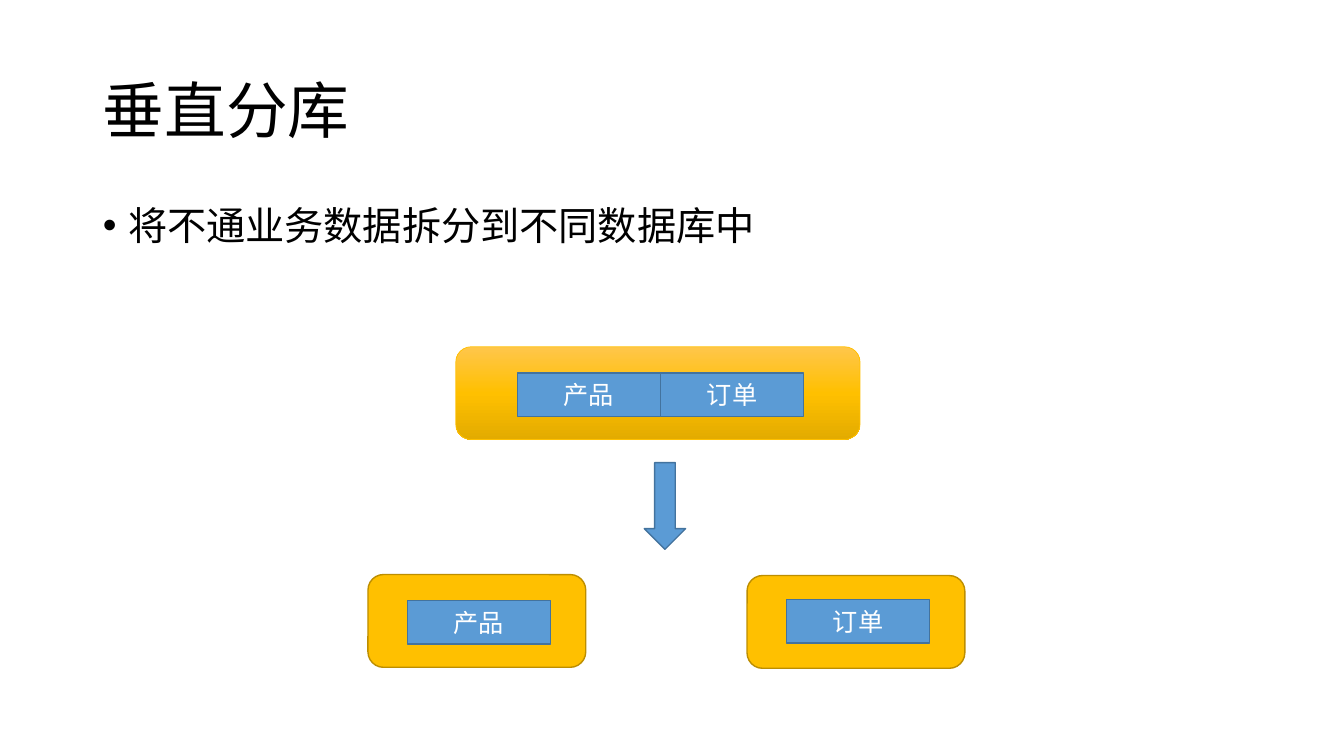
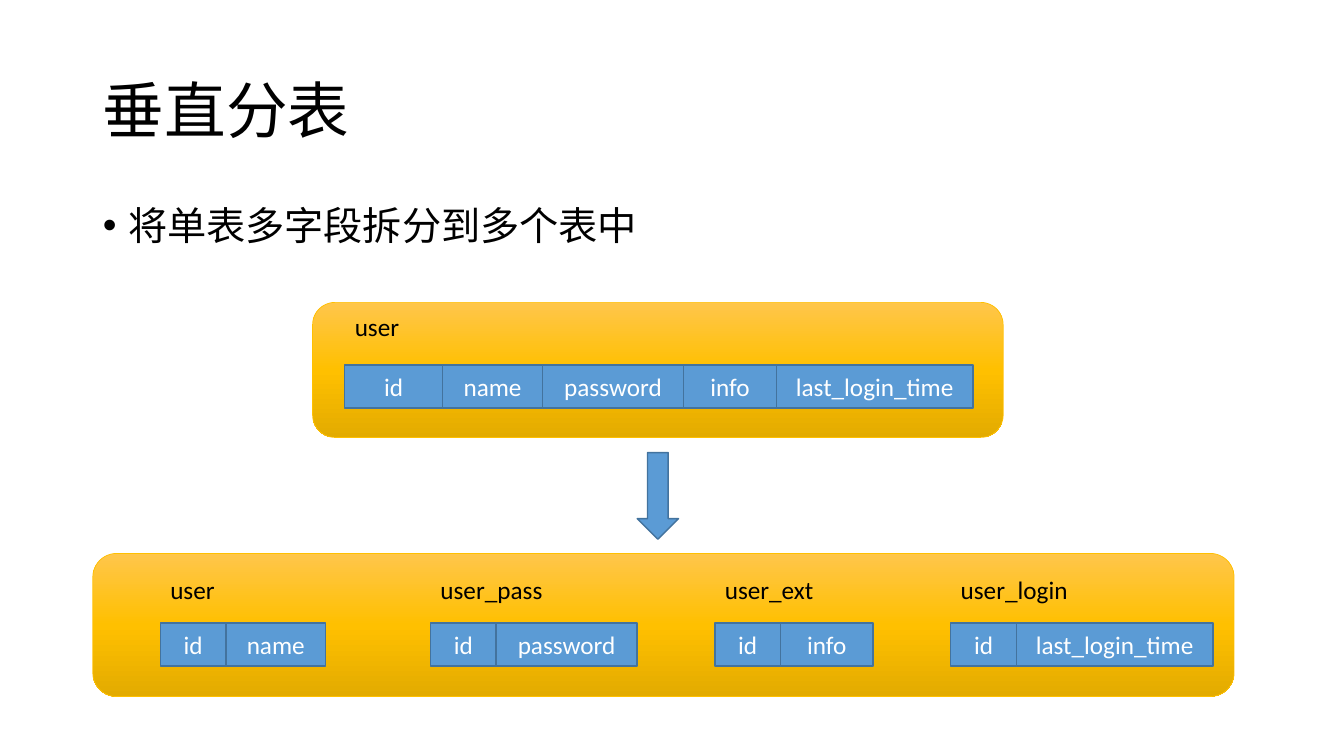
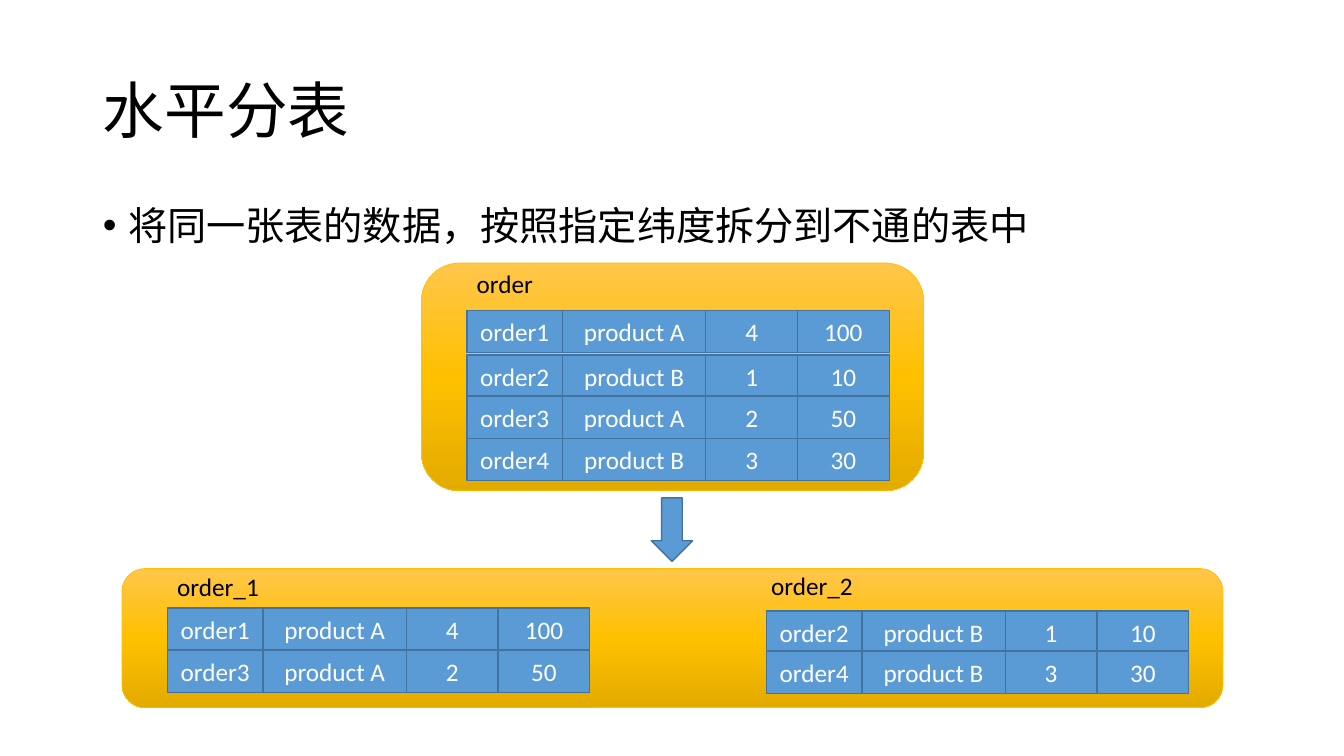
from copy import deepcopy

from pptx import Presentation
from pptx.dml.color import RGBColor
from pptx.enum.shapes import MSO_SHAPE
from pptx.enum.text import MSO_ANCHOR, MSO_AUTO_SIZE, PP_ALIGN
from pptx.oxml.ns import qn
from pptx.util import Inches, Pt

RECT = MSO_SHAPE.RECTANGLE
ROUND = MSO_SHAPE.ROUNDED_RECTANGLE
ARROW = MSO_SHAPE.DOWN_ARROW
TOP, MIDDLE = MSO_ANCHOR.TOP, MSO_ANCHOR.MIDDLE
LEFT, CENTER = PP_ALIGN.LEFT, PP_ALIGN.CENTER
FIXED, GROW = MSO_AUTO_SIZE.NONE, MSO_AUTO_SIZE.SHAPE_TO_FIT_TEXT

BLACK = RGBColor(0x00, 0x00, 0x00)
WHITE = RGBColor(0xFF, 0xFF, 0xFF)
BLUE = RGBColor(0x5B, 0x9B, 0xD5)
NAVY = RGBColor(0x43, 0x73, 0x9E)
GOLD = RGBColor(0xFF, 0xC0, 0x00)
LIGHT = RGBColor(0xFF, 0xC6, 0x4B)
DEEP = RGBColor(0xE3, 0xAB, 0x00)
BROWN = RGBColor(0xBD, 0x8E, 0x00)
FONT = "Calibri"


class Deck:
    """Holds the shared style and the slide being drawn."""

    def __init__(self):
        self.prs = Presentation()
        self.prs.slide_width = Inches(13.33)
        self.prs.slide_height = Inches(7.5)
        self.slide = None

    def start(self, title, point, height=0.87):
        """Add a slide with a title and one bullet point."""
        self.slide = self.prs.slides.add_slide(self.prs.slide_layouts[1])
        head, body = self.slide.placeholders
        self.place(head, (0.92, 0.4, 11.5, 1.45), title, 44, MIDDLE)
        para = self.place(body, (0.92, 2, 11.21, height), point, 28, TOP)
        para.space_before = Pt(10)
        props = para._p.get_or_add_pPr()
        props.set("marL", str(Inches(0.25)))
        props.set("indent", str(Inches(-0.25)))

    def place(self, holder, box, text, size, anchor):
        holder.left, holder.top, holder.width, holder.height = map(Inches, box)
        frame = holder.text_frame
        frame.auto_size = FIXED
        frame.vertical_anchor = anchor
        para = self.add_text(frame, text, size, BLACK, LEFT)
        para.line_spacing = 0.9
        return para

    def add_text(self, frame, text, size, color, align):
        para = frame.paragraphs[0]
        para.alignment = align
        run = para.add_run()
        run.text = text
        run.font.name = FONT
        run.font.size = Pt(size)
        run.font.color.rgb = color
        return para

    def shape(self, kind, box, fill=BLUE, line=NAVY, weight=1):
        item = self.slide.shapes.add_shape(kind, *map(Inches, box))
        item.shadow.inherit = False
        item.fill.solid()
        item.fill.fore_color.rgb = fill
        item.line.color.rgb = line
        item.line.width = Pt(weight)
        return item

    def panel(self, *box):
        """Add a rounded box shaded from light to deep gold."""
        item = self.shape(ROUND, box, line=GOLD, weight=0.5)
        item.fill.gradient()
        item.fill.gradient_angle = 270
        stops = next(item._element.spPr.iter(qn("a:gsLst")))
        stops.append(deepcopy(stops[0]))
        shades = (0, LIGHT), (0.5, GOLD), (1, DEEP)
        for stop, (spot, color) in zip(item.fill.gradient_stops, shades):
            stop.position = spot
            stop.color.rgb = color

    def block(self, *box):
        self.shape(ROUND, box, GOLD, BROWN)

    def arrow(self, left, top, height=0.86):
        self.shape(ARROW, (left, top, 0.41, height))

    def row(self, left, top, texts, widths, height=0.43):
        """Add touching cells from left to right."""
        for text, width in zip(texts, widths):
            cell = self.shape(RECT, (left, top, width, height))
            cell.text_frame.vertical_anchor = MIDDLE
            self.add_text(cell.text_frame, text, 18, WHITE, CENTER)
            left += width

    def label(self, left, top, width, text):
        box = map(Inches, (left, top, width, 0.4))
        frame = self.slide.shapes.add_textbox(*box).text_frame
        frame.word_wrap = False
        frame.auto_size = GROW
        self.add_text(frame, text, 18, BLACK, LEFT)


def split_base(deck):
    deck.start("垂直分库", "将不通业务数据拆分到不同数据库中")
    names, width = ("产品", "订单"), 1.42
    deck.panel(4.52, 3.44, 4.01, 0.92)
    deck.row(5.13, 3.7, names, (width, width))
    deck.arrow(6.39, 4.59)
    for name, left, top, inset in zip(names, (3.65, 7.41), (5.7, 5.71), (0.26, 0.24)):
        deck.block(left, top, 2.16, 0.92)
        deck.row(left + 0.39, top + inset, (name,), (width,))


def split_fields(deck):
    deck.start("垂直分表", "将单表多字段拆分到多个表中")
    fields = {"name": 0.99, "password": 1.4, "info": 0.92, "last_login_time": 1.95}
    deck.panel(3.1, 3, 6.85, 1.34)
    deck.label(3.42, 3.04, 0.68, "user")
    deck.row(3.42, 3.62, ("id", *fields), (0.97, *fields.values()))
    deck.arrow(6.32, 4.49)

    deck.panel(0.92, 5.49, 11.32, 1.42)
    tables = (
        ("user", 1.59, 0.68),
        ("user_pass", 4.27, 1.34),
        ("user_ext", 7.09, 1.15),
        ("user_login", 9.43, 1.34),
    )
    for (name, left, width), (field, span) in zip(tables, fields.items()):
        deck.label(left, 5.65, width, name)
        deck.row(left, 6.18, ("id", field), (0.65, span))


def split_rows(deck):
    deck.start("水平分表", "将同一张表的数据，按照指定纬度拆分到不通的表中", 1.3)
    orders = (
        ("order1", "product A", "4", "100"),
        ("order2", "product B", "1", "10"),
        ("order3", "product A", "2", "50"),
        ("order4", "product B", "3", "30"),
    )
    widths = (0.95, 1.42, 0.91, 0.91)

    def table(left, tops, rows):
        for top, texts in zip(tops, rows):
            deck.row(left, top, texts, widths, 0.42)

    deck.panel(4.18, 2.61, 4.98, 2.26)
    deck.label(4.63, 2.61, 0.79, "order")
    table(4.63, (3.08, 3.52, 3.93, 4.35), orders)
    deck.arrow(6.46, 4.94, 0.63)

    deck.panel(1.21, 5.64, 10.92, 1.38)
    deck.label(1.66, 5.62, 1.06, "order_1")
    table(1.66, (6.03, 6.45), orders[::2])
    deck.label(7.55, 5.61, 1.06, "order_2")
    table(7.6, (6.06, 6.46), orders[1::2])


def main():
    deck = Deck()
    split_base(deck)
    split_fields(deck)
    split_rows(deck)
    deck.prs.save("out.pptx")


if __name__ == "__main__":
    main()
